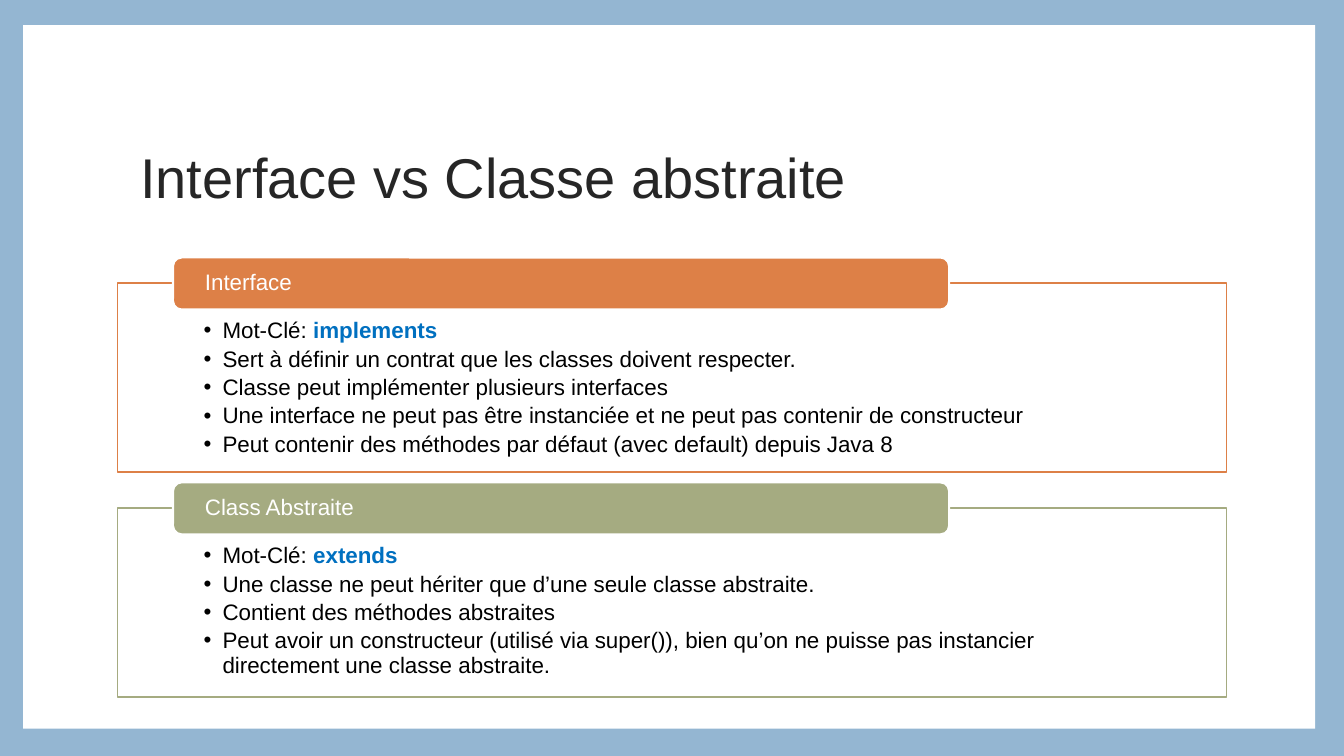
import pptx
import pptx.dml.color
import pptx.enum.shapes
import pptx.enum.text
import pptx.oxml
import pptx.oxml.ns
import pptx.util
from lxml import etree

RGBColor = pptx.dml.color.RGBColor
Pt = pptx.util.Pt
Shapes = pptx.enum.shapes.MSO_SHAPE
Anchor = pptx.enum.text.MSO_ANCHOR
qn = pptx.oxml.ns.qn

FRAME_BLUE = RGBColor(0x94, 0xB6, 0xD2)
WHITE = RGBColor(0xFF, 0xFF, 0xFF)
BLACK = RGBColor(0, 0, 0)
TITLE_GREY = RGBColor(0x26, 0x26, 0x26)
KEYWORD_BLUE = RGBColor(0x00, 0x70, 0xC0)
ORANGE = RGBColor(0xDD, 0x80, 0x47)
GREEN = RGBColor(0xA5, 0xAB, 0x81)

FIRST_PANEL_TOP = 202.25
PANEL_PITCH = 160.6
HEADER_RISE = 18.3
BULLET_INDENT = 13.5

PANELS = [
    ("Interface", ORANGE, "implements", [
        "Sert à définir un contrat que les classes doivent respecter.",
        "Classe peut implémenter plusieurs interfaces",
        "Une interface ne peut pas être instanciée et ne peut pas contenir de constructeur",
        "Peut contenir des méthodes par défaut (avec default) depuis Java 8",
    ]),
    ("Class Abstraite", GREEN, "extends", [
        "Une classe ne peut hériter que d’une seule classe abstraite.",
        "Contient des méthodes abstraites",
        "Peut avoir un constructeur (utilisé via super()), bien qu’on ne puisse "
        "pas instancier directement une classe abstraite.",
    ]),
]


def add_box(slide, kind, left, top, width, height, fill, line=None, line_width=1):
    shape = slide.shapes.add_shape(kind, Pt(left), Pt(top), Pt(width), Pt(height))
    shape.shadow.inherit = False
    shape.fill.solid()
    shape.fill.fore_color.rgb = fill
    if line is None:
        shape.line.fill.background()
    else:
        shape.line.color.rgb = line
        shape.line.width = Pt(line_width)
    return shape


def set_opacity(shape, percent):
    color = shape.element.spPr.find(qn("a:solidFill"))[0]
    etree.SubElement(color, qn("a:alpha"), val=str(percent * 1000))


def set_frame(shape, anchor, left, top, right, bottom):
    frame = shape.text_frame
    frame.word_wrap = True
    frame.auto_size = pptx.enum.text.MSO_AUTO_SIZE.NONE
    frame.vertical_anchor = anchor
    frame.margin_left, frame.margin_top = Pt(left), Pt(top)
    frame.margin_right, frame.margin_bottom = Pt(right), Pt(bottom)
    return frame


def format_paragraph(paragraph, space_after=0):
    paragraph.alignment = pptx.enum.text.PP_ALIGN.LEFT
    paragraph.line_spacing = 0.9
    paragraph.space_before = Pt(0)
    paragraph.space_after = Pt(space_after)


def add_bullet(paragraph):
    properties = paragraph._p.get_or_add_pPr()
    properties.set("marL", str(Pt(BULLET_INDENT)))
    properties.set("indent", str(-Pt(BULLET_INDENT)))
    etree.SubElement(properties, qn("a:buFont"), typeface="Arial")
    etree.SubElement(properties, qn("a:buChar"), char="•")


def add_text(paragraph, text, size=16, color=BLACK, bold=False):
    run = paragraph.add_run()
    run.text = text
    run.font.name = "Arial"
    run.font.size = Pt(size)
    run.font.bold = bold
    run.font.color.rgb = color


def add_title(slide, text):
    title = slide.shapes.title
    title.left, title.top = Pt(92.9), Pt(68.4)
    title.width, title.height = Pt(771), Pt(120.2)
    # Bring the title in front of the page frame.
    title.element.getparent().append(title.element)
    frame = set_frame(title, Anchor.MIDDLE, 7.2, 3.6, 7.2, 3.6)
    format_paragraph(frame.paragraphs[0])
    add_text(frame.paragraphs[0], text, size=40, color=TITLE_GREY)


def add_panel(slide, top, heading, color, keyword, points):
    body = add_box(slide, Shapes.RECTANGLE, 84, top, 792, 135, WHITE, color)
    set_opacity(body, 90)
    frame = set_frame(body, Anchor.TOP, 61.5, 26, 61.5, 8.6)
    for index, point in enumerate(["Mot-Clé: ", *points]):
        paragraph = frame.add_paragraph() if index else frame.paragraphs[0]
        format_paragraph(paragraph, space_after=3)
        add_bullet(paragraph)
        add_text(paragraph, point)
    add_text(frame.paragraphs[0], keyword, color=KEYWORD_BLUE, bold=True)

    header = add_box(slide, Shapes.ROUNDED_RECTANGLE, 123.6, top - HEADER_RISE,
                     554.4, 37.2, color, WHITE, 1.5)
    frame = set_frame(header, Anchor.MIDDLE, 21, 0, 21, 0)
    format_paragraph(frame.paragraphs[0])
    add_text(frame.paragraphs[0], heading, color=WHITE)


def main():
    presentation = pptx.Presentation()
    presentation.slide_width, presentation.slide_height = Pt(960), Pt(540)
    slide = presentation.slides.add_slide(presentation.slide_layouts[5])

    add_box(slide, Shapes.RECTANGLE, 0, 0, 960, 540, FRAME_BLUE)
    add_box(slide, Shapes.RECTANGLE, 16.5, 18, 923, 502.5, WHITE)
    add_title(slide, "Interface vs Classe abstraite")
    for index, panel in enumerate(PANELS):
        add_panel(slide, FIRST_PANEL_TOP + index * PANEL_PITCH, *panel)

    presentation.save("out.pptx")


if __name__ == "__main__":
    main()
